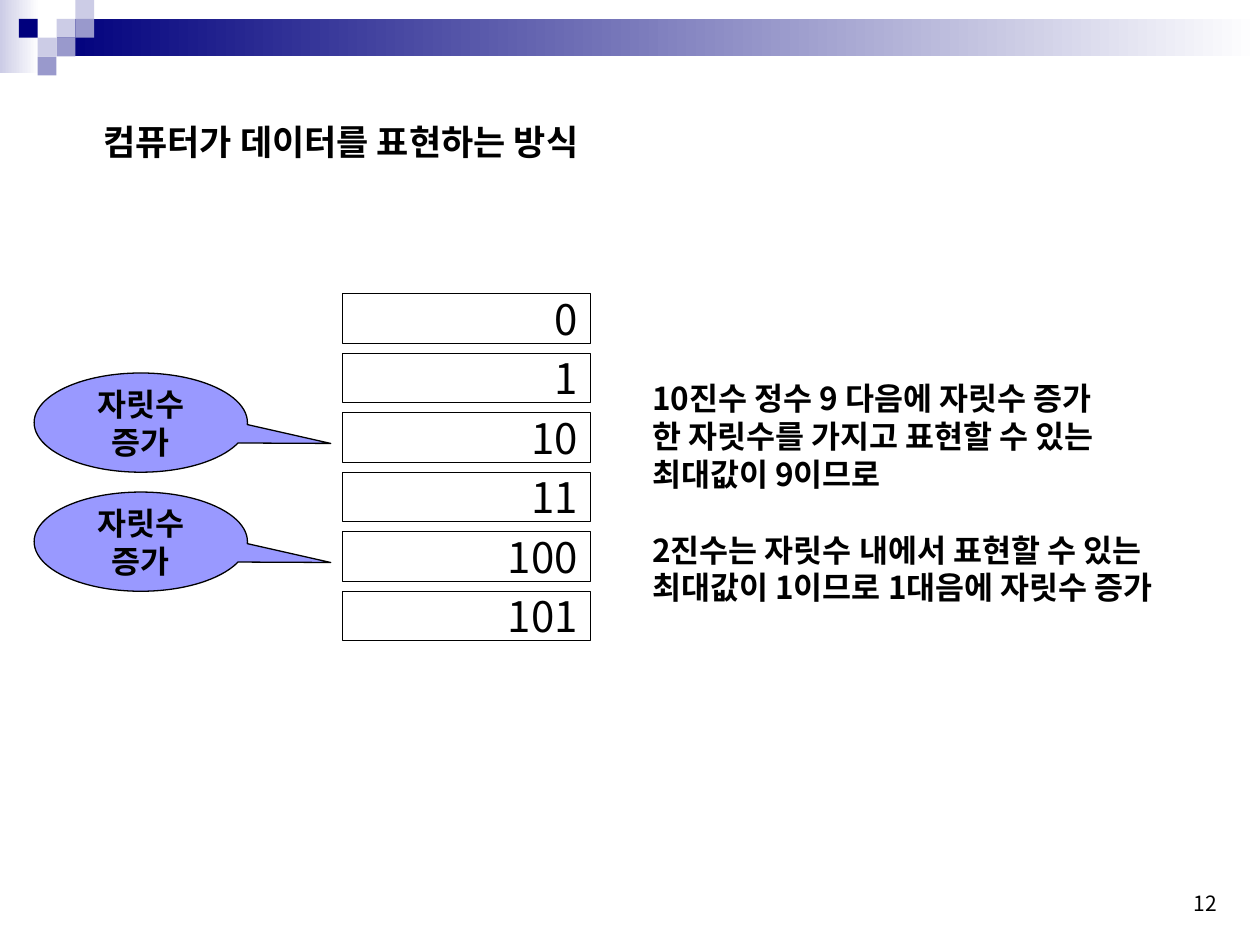
"""Build a slide on how a computer represents data with binary digits."""
from lxml import etree
from pptx import Presentation
from pptx.dml.color import RGBColor
from pptx.enum.shapes import MSO_SHAPE
from pptx.enum.text import MSO_ANCHOR, MSO_AUTO_SIZE, PP_ALIGN
from pptx.oxml.ns import qn
from pptx.util import Cm, Pt

RECT, CALLOUT = MSO_SHAPE.RECTANGLE, MSO_SHAPE.OVAL_CALLOUT
TOP, MIDDLE, BOTTOM = MSO_ANCHOR.TOP, MSO_ANCHOR.MIDDLE, MSO_ANCHOR.BOTTOM
LEFT, CENTER, RIGHT = PP_ALIGN.LEFT, PP_ALIGN.CENTER, PP_ALIGN.RIGHT
NO_FIT = MSO_AUTO_SIZE.NONE

FONT = "Noto Sans CJK KR"
COLORS = {
    "text": "000000",
    "cell": "FFFFFF",
    "callout": "9999FF",
    "navy": "00007D",
    "mid": "9999CC",
    "pale": "CCCCE6",
    "white": "FFFFFF",
}
FORMATS = {
    "title": {"size": Pt(20), "bold": True},
    "note": {"size": Pt(18), "bold": True},
    "cell": {"size": Pt(24), "bold": False},
    "number": {"size": Pt(12), "bold": False},
}
UNIT = 0.38
SQUARES = [
    (3, 1, "pale"), (4, 0, "pale"), (4, 1, "mid"), (2, 2, "pale"),
    (1, 1, "navy"), (3, 2, "mid"), (2, 3, "mid"),
]
BINARY = ["0", "1", "10", "11", "100", "101"]
NOTES = [
    ["10진수 정수 9 다음에 자릿수 증가",
     "한 자릿수를 가지고 표현할 수 있는",
     "최대값이 9이므로"],
    ["2진수는 자릿수 내에서 표현할 수 있는",
     "최대값이 1이므로 1대음에 자릿수 증가"],
]


def rgb(name):
    return RGBColor.from_string(COLORS[name])


def write(tf, lines, style, align=LEFT, anchor=TOP, wrap=True):
    frame = {"auto_size": NO_FIT, "word_wrap": wrap, "vertical_anchor": anchor,
             "margin_left": Cm(0.25), "margin_right": Cm(0.25),
             "margin_top": Cm(0.13), "margin_bottom": Cm(0.13)}
    for key, value in frame.items():
        setattr(tf, key, value)
    for i, line in enumerate(lines):
        p = tf.paragraphs[0] if i == 0 else tf.add_paragraph()
        p.alignment = align
        r = p.add_run()
        r.text = line
        for key, value in {"name": FONT, **FORMATS[style]}.items():
            setattr(r.font, key, value)
        r.font.color.rgb = rgb("text")
        ea = etree.SubElement(r.font._element, qn("a:ea"))
        ea.set("typeface", FONT)


def add_shape(s, kind, box, color, outlined=False):
    sp = s.shapes.add_shape(kind, *map(Cm, box))
    sp.shadow.inherit = False
    sp.fill.solid()
    sp.fill.fore_color.rgb = rgb(color)
    if outlined:
        sp.line.color.rgb = rgb("text")
        sp.line.width = Pt(0.75)
    else:
        sp.line.fill.background()
    return sp


def add_fade(s, box, color):
    sp = add_shape(s, RECT, box, color)
    sp.fill.gradient()
    sp.fill.gradient_angle = 0
    for stop, name, position in zip(sp.fill.gradient_stops, (color, "white"), (0, 1)):
        stop.color.rgb = rgb(name)
        stop.position = position


def add_banner(s):
    add_fade(s, (0, 0, 0.79, 1.47), "pale")
    add_fade(s, (3 * UNIT, UNIT, 25.4 - 3 * UNIT, 2 * UNIT), "navy")
    for col, row, color in SQUARES:
        add_shape(s, RECT, (col * UNIT, row * UNIT, UNIT, UNIT), color)


def add_title(s, text):
    sp = s.shapes.title
    box = {"left": 1.83, "top": 2.29, "width": 10.67, "height": 1.12}
    for key, value in box.items():
        setattr(sp, key, Cm(value))
    write(sp.text_frame, [text], "title", wrap=False)


def add_text(s, box, lines, style, **layout):
    tf = s.shapes.add_textbox(*map(Cm, box)).text_frame
    write(tf, lines, style, **layout)
    return tf


def add_cells(s):
    for i, text in enumerate(BINARY):
        sp = add_shape(s, RECT, (6.9, 5.92 + 1.2 * i, 5, 1), "cell", True)
        write(sp.text_frame, [text], "cell", RIGHT, MIDDLE, False)


def add_callouts(s):
    for i in range(2):
        sp = add_shape(s, CALLOUT, (0.69, 7.52 + 2.4 * i, 4.3, 2), "callout", True)
        sp.adjustments[0], sp.adjustments[1] = 0.89, 0.21
        write(sp.text_frame, ["자릿수 증가"], "note", CENTER, MIDDLE)


def add_notes(s):
    tf = add_text(s, (12.9, 7.52, 11.91, 4.83), sum(NOTES, []), "note", wrap=False)
    tf.paragraphs[len(NOTES[0])].space_before = Pt(21.6)


def main():
    prs = Presentation()
    prs.slide_width, prs.slide_height = Cm(25.4), Cm(19.05)
    s = prs.slides.add_slide(prs.slide_layouts[5])
    add_banner(s)
    add_title(s, "컴퓨터가 데이터를 표현하는 방식")
    add_cells(s)
    add_callouts(s)
    add_notes(s)
    add_text(s, (18.29, 17.32, 6.5, 1.27), ["12"], "number",
             align=RIGHT, anchor=BOTTOM)
    prs.save("out.pptx")


if __name__ == "__main__":
    main()
